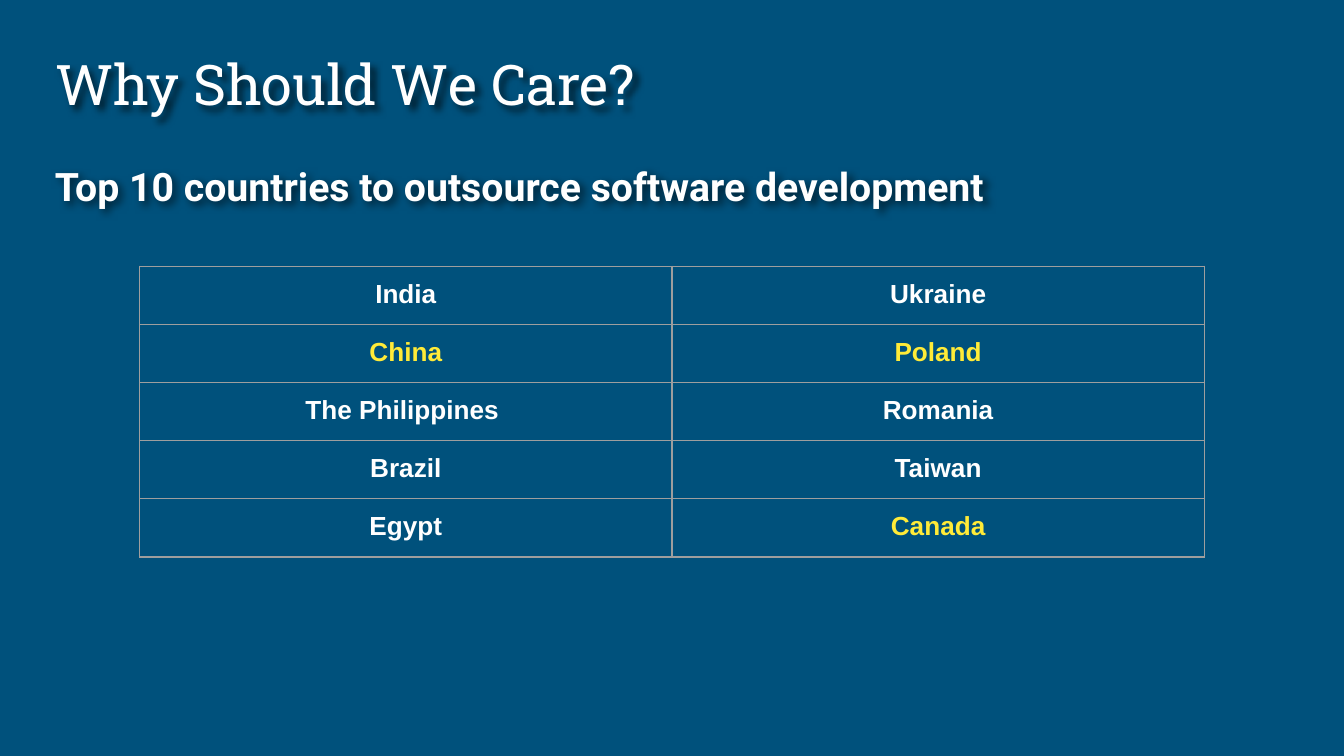
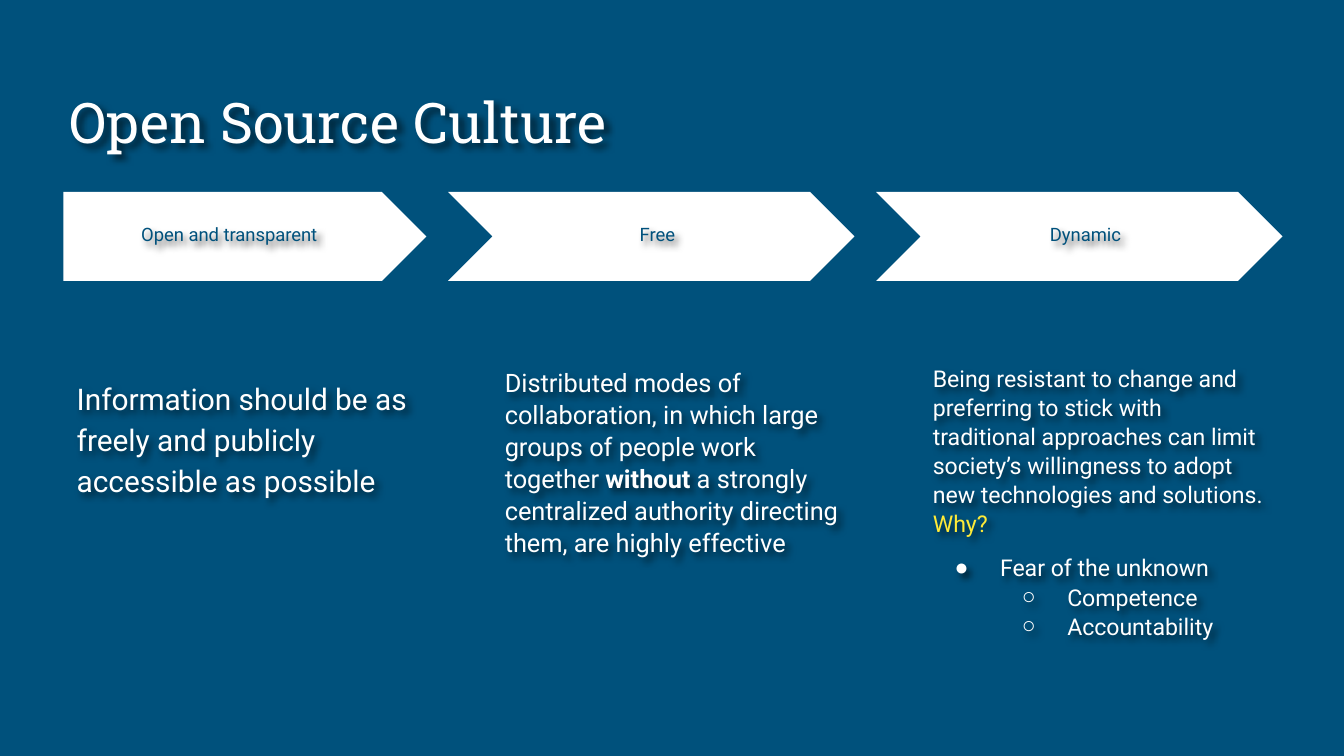
"""Build two slides on software outsourcing and open source culture."""
from dataclasses import dataclass
from typing import Any, NamedTuple

from lxml import etree
from pptx import Presentation
from pptx.dml.color import RGBColor
from pptx.enum.shapes import MSO_SHAPE
from pptx.enum.text import MSO_ANCHOR, MSO_AUTO_SIZE, PP_ALIGN
from pptx.oxml.ns import qn
from pptx.util import Cm, Pt

LEFT, CENTER = PP_ALIGN.LEFT, PP_ALIGN.CENTER
TOP, MIDDLE, BOTTOM = MSO_ANCHOR.TOP, MSO_ANCHOR.MIDDLE, MSO_ANCHOR.BOTTOM
NO_AUTOFIT = MSO_AUTO_SIZE.NONE
HOME_PLATE, CHEVRON = MSO_SHAPE.PENTAGON, MSO_SHAPE.CHEVRON

BLUE, WHITE, YELLOW, GREY, BLACK = "00517C", "FFFFFF", "FFEB38", "9E9E9E", "000000"
TITLE_FONT, BODY_FONT, TABLE_FONT = "Roboto Slab", "Roboto", "Arial"
INSET = 0.25
TITLE_SIZE = (23.24, 1.9)
COLUMN_LEFT, COLUMN_STEP, COLUMN_WIDTH = 1.2, 8.09, 6.86
ARROW_TOP, ARROW_HEIGHT, ARROW_OVERHANG = 3.63, 1.68, 0.82
LABEL_WIDTH, LABEL_HEIGHT = 6.27, 0.86
BODY_TOP, BODY_HEIGHT = 5.74, 7.37


class Box(NamedTuple):
    """Position and size in centimetres."""
    left: float
    top: float
    width: float
    height: float


class TextRun(NamedTuple):
    """A stretch of text with one look."""
    text: str
    color: str = WHITE
    bold: bool = False


@dataclass
class TextStyle:
    """Look shared by every paragraph of a text frame."""
    size: float
    font: str = BODY_FONT
    alignment: Any = LEFT
    anchor: Any = TOP
    line_spacing: float = 1.0
    top_inset: float = INSET


@dataclass
class TextParagraph:
    """Runs with an optional bullet and list level."""
    runs: list[TextRun]
    bullet: str = ""
    level: int = 0
    space_before: float = 0


@dataclass
class CultureColumn:
    """An arrow label with the explanation below it."""
    label: str
    style: TextStyle
    paragraphs: list[TextParagraph]


TITLE_STYLE = TextStyle(30, TITLE_FONT, anchor=BOTTOM)
SUBTITLE_STYLE = TextStyle(21)
TABLE_STYLE = TextStyle(14, TABLE_FONT, CENTER)
LABEL_STYLE = TextStyle(9.9, alignment=CENTER, anchor=MIDDLE, line_spacing=0.8)

COUNTRIES = [
    ("India", "Ukraine"),
    ("China", "Poland"),
    ("The Philippines ", "Romania"),
    ("Brazil", "Taiwan"),
    ("Egypt", "Canada"),
]
HIGHLIGHTED = {"China", "Poland", "Canada"}

CULTURE = [
    CultureColumn("Open and transparent", TextStyle(16, line_spacing=1.15, top_inset=1.35), [
        TextParagraph([TextRun(
            "Information should be as freely and publicly accessible as possible")]),
    ]),
    CultureColumn("Free", TextStyle(13.6, line_spacing=1.05, top_inset=1.18), [
        TextParagraph([
            TextRun("Distributed modes of collaboration, in which large groups of "
                    "people work together "),
            TextRun("without", bold=True),
            TextRun(" a strongly centralized authority directing them, are highly effective"),
        ]),
    ]),
    CultureColumn("Dynamic", TextStyle(12.4, line_spacing=1.05, top_inset=1.12), [
        TextParagraph([
            TextRun("Being resistant to change and preferring to stick with traditional "
                    "approaches can limit society’s willingness to adopt new technologies "
                    "and solutions. "),
            TextRun("Why?", YELLOW),
        ]),
        TextParagraph([TextRun("Fear of the unknown")], "●", 0, 8),
        TextParagraph([TextRun("Competence")], "○", 1),
        TextParagraph([TextRun("Accountability")], "○", 1),
    ]),
]


def rgb(color: str) -> RGBColor:
    """Turn a hex string into a colour."""
    return RGBColor.from_string(color)


def set_values(target: Any, values: dict[str, Any]) -> None:
    """Set each named attribute of the target."""
    for name, value in values.items():
        setattr(target, name, value)


def lengths(box: Box) -> list[int]:
    """Convert a box to slide lengths."""
    return [Cm(value) for value in box]


def add_element(parent: Any, tag: str, **attributes: Any) -> Any:
    """Append a drawing element with the given attributes."""
    values = {name: str(value) for name, value in attributes.items()}
    return etree.SubElement(parent, qn(f"a:{tag}"), values)


def format_bullet(paragraph: Any, content: TextParagraph) -> None:
    """Set the indent and the bullet of a paragraph."""
    properties = paragraph._p.get_or_add_pPr()
    margin = Cm(1.27 * (content.level + 1)) if content.bullet else 0
    indent = Cm(-0.86) if content.bullet else 0
    properties.set("marL", str(margin))
    properties.set("indent", str(indent))
    if content.bullet:
        add_element(add_element(properties, "buClr"), "srgbClr", val=WHITE)
        add_element(properties, "buChar", char=content.bullet)
    else:
        add_element(properties, "buNone")


def write_paragraphs(frame: Any, paragraphs: list[TextParagraph], style: TextStyle) -> None:
    """Fill a text frame with formatted paragraphs."""
    for number, content in enumerate(paragraphs):
        paragraph = frame.add_paragraph() if number else frame.paragraphs[0]
        set_values(paragraph, {
            "alignment": style.alignment,
            "level": content.level,
            "line_spacing": style.line_spacing,
            "space_before": Pt(content.space_before),
            "space_after": Pt(0),
        })
        format_bullet(paragraph, content)
        for text, color, bold in content.runs:
            run = paragraph.add_run()
            run.text = text
            set_values(run.font, {"name": style.font, "size": Pt(style.size), "bold": bold})
            run.font.color.rgb = rgb(color)


def add_text_shadow(shape: Any) -> None:
    """Give the text of an unfilled shape a soft shadow."""
    shape.shadow.inherit = False
    effects = shape._element.spPr.find(qn("a:effectLst"))
    shadow = add_element(effects, "outerShdw", blurRad=Pt(4), dist=Pt(3),
                         dir=2700000, algn="tl", rotWithShape=0)
    add_element(add_element(shadow, "srgbClr", val=BLACK), "alpha", val=60000)


def fill_text_shape(shape: Any, box: Box, paragraphs: list[TextParagraph],
                    style: TextStyle) -> None:
    """Place a text shape and write its shadowed text."""
    set_values(shape, dict(zip(Box._fields, lengths(box))))
    set_values(shape.text_frame, {
        "word_wrap": True,
        "auto_size": NO_AUTOFIT,
        "vertical_anchor": style.anchor,
        "margin_left": Cm(INSET),
        "margin_right": Cm(INSET),
        "margin_top": Cm(style.top_inset),
        "margin_bottom": Cm(INSET),
    })
    write_paragraphs(shape.text_frame, paragraphs, style)
    add_text_shadow(shape)


def add_text(slide: Any, box: Box, run: TextRun, style: TextStyle) -> None:
    """Add a text box holding a single run."""
    shape = slide.shapes.add_textbox(*lengths(box))
    fill_text_shape(shape, box, [TextParagraph([run])], style)


def add_titled_slide(presentation: Any, layout: int, title: str,
                     left: float, top: float) -> Any:
    """Add a slide with its title in place."""
    slide = presentation.slides.add_slide(presentation.slide_layouts[layout])
    fill_text_shape(slide.shapes.title, Box(left, top, *TITLE_SIZE),
                    [TextParagraph([TextRun(title)])], TITLE_STYLE)
    return slide


def draw_cell_borders(cell: Any) -> None:
    """Draw a thin grey line on every side of a cell."""
    properties = cell._tc.get_or_add_tcPr()
    for position, side in enumerate(("lnL", "lnR", "lnT", "lnB")):
        line = add_element(properties, side, w=Pt(0.75))
        add_element(add_element(line, "solidFill"), "srgbClr", val=GREY)
        properties.insert(position, line)


def add_country_table(slide: Any) -> None:
    """Add the table of countries with highlighted names."""
    box = Box(2.64, 5.03, 20.12, 5.5)
    table = slide.shapes.add_table(len(COUNTRIES), 2, *lengths(box)).table
    set_values(table, {"first_row": False, "horz_banding": False})
    for row, names in enumerate(COUNTRIES):
        for column, name in enumerate(names):
            cell = table.cell(row, column)
            margins = ("margin_left", "margin_right", "margin_top", "margin_bottom")
            set_values(cell, dict.fromkeys(margins, Cm(INSET)))
            cell.fill.background()
            draw_cell_borders(cell)
            color = YELLOW if name in HIGHLIGHTED else WHITE
            write_paragraphs(cell.text_frame, [TextParagraph([TextRun(name, color, True)])],
                             TABLE_STYLE)


def add_arrow(slide: Any, left: float, first: bool) -> None:
    """Add a white arrow that ends at the right edge of its column."""
    overhang = 0 if first else ARROW_OVERHANG
    box = Box(left - overhang, ARROW_TOP, COLUMN_WIDTH + overhang, ARROW_HEIGHT)
    arrow = slide.shapes.add_shape(HOME_PLATE if first else CHEVRON, *lengths(box))
    arrow.shadow.inherit = False
    arrow.fill.solid()
    arrow.fill.fore_color.rgb = rgb(WHITE)
    arrow.line.fill.background()


def build_outsourcing_slide(presentation: Any) -> None:
    """Build the slide with the outsourcing countries."""
    slide = add_titled_slide(presentation, 5, "Why Should We Care?", 0.79, 0.56)
    add_text(slide, Box(0.79, 2.82, 24.28, 4.39),
             TextRun("Top 10 countries to outsource software development", bold=True),
             SUBTITLE_STYLE)
    add_country_table(slide)


def build_culture_slide(presentation: Any) -> None:
    """Build the slide with three arrows and their explanations."""
    slide = add_titled_slide(presentation, 4, "Open Source Culture", 1.07, 1.27)
    bodies = [shape for shape in slide.placeholders if shape.placeholder_format.idx]
    for number, (column, body) in enumerate(zip(CULTURE, bodies)):
        left = COLUMN_LEFT + number * COLUMN_STEP
        add_arrow(slide, left, number == 0)
        label_top = ARROW_TOP + (ARROW_HEIGHT - LABEL_HEIGHT) / 2
        add_text(slide, Box(left, label_top, LABEL_WIDTH, LABEL_HEIGHT),
                 TextRun(column.label, BLUE), LABEL_STYLE)
        fill_text_shape(body, Box(left, BODY_TOP, COLUMN_WIDTH, BODY_HEIGHT),
                        column.paragraphs, column.style)
    for unused in bodies[len(CULTURE):]:
        unused._element.getparent().remove(unused._element)


def main() -> None:
    """Build and save the presentation."""
    presentation = Presentation()
    set_values(presentation, {"slide_width": Cm(25.4), "slide_height": Cm(14.29)})
    background = presentation.slide_master.background.fill
    background.solid()
    background.fore_color.rgb = rgb(BLUE)
    build_outsourcing_slide(presentation)
    build_culture_slide(presentation)
    presentation.save("out.pptx")


if __name__ == "__main__":
    main()
